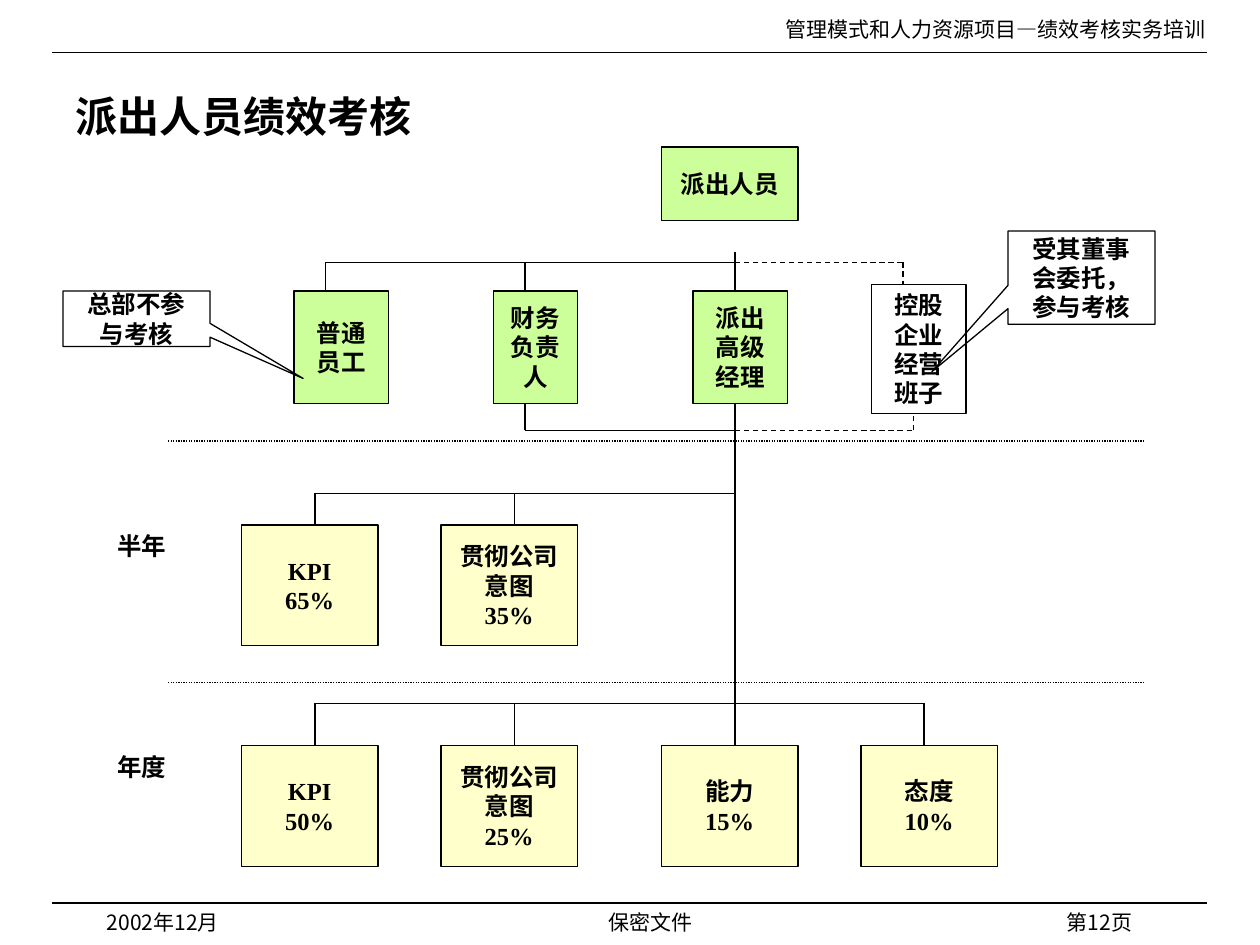
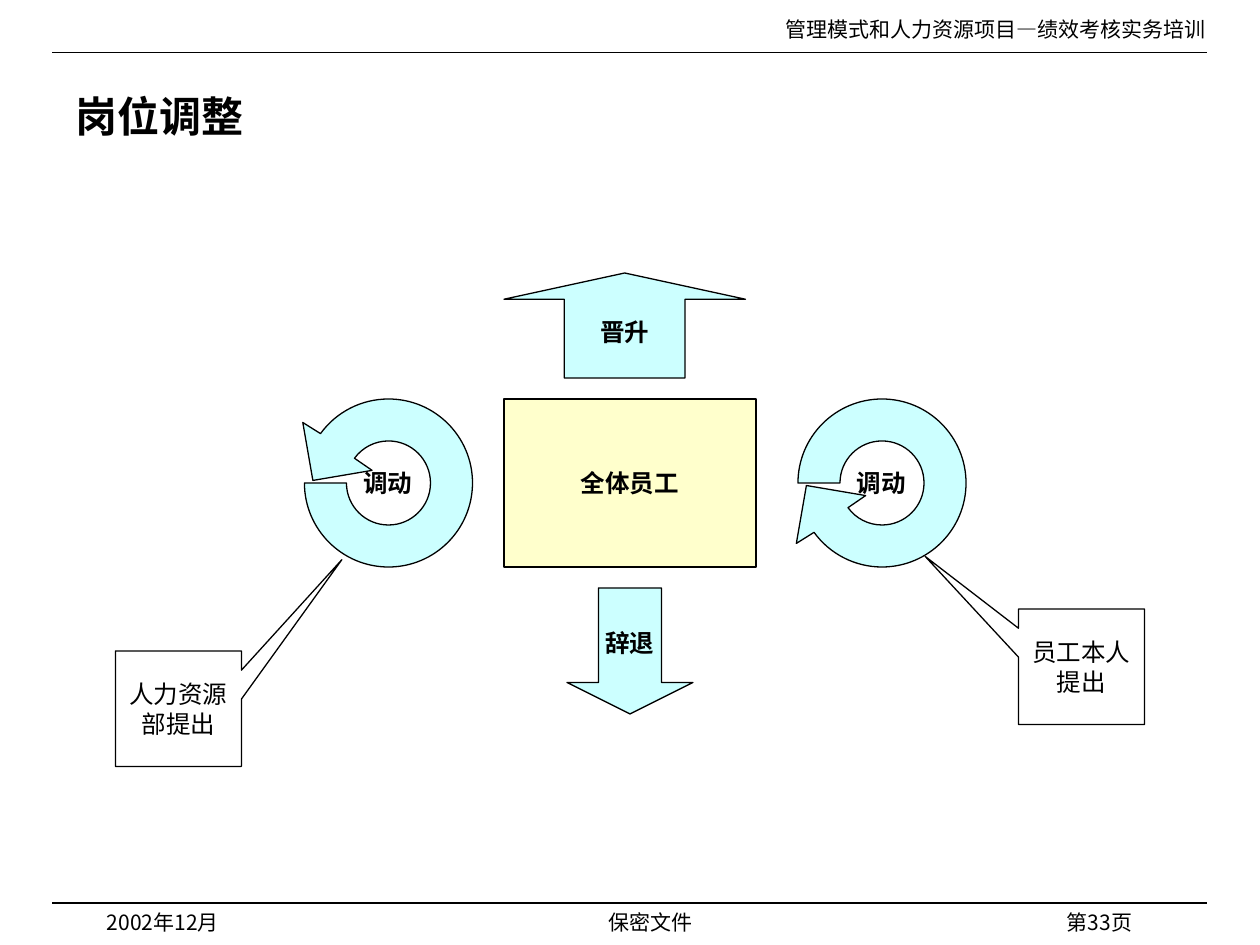
from math import cos, radians, sin, tan

from pptx import Presentation
from pptx.dml.color import RGBColor
from pptx.enum.dml import MSO_LINE
from pptx.enum.shapes import MSO_CONNECTOR, MSO_SHAPE
from pptx.enum.text import MSO_ANCHOR, MSO_AUTO_SIZE, PP_ALIGN
from pptx.oxml.ns import qn
from pptx.util import Inches, Pt

RECT, CALLOUT = MSO_SHAPE.RECTANGLE, MSO_SHAPE.RECTANGULAR_CALLOUT
UP, DOWN = MSO_SHAPE.UP_ARROW, MSO_SHAPE.DOWN_ARROW
STRAIGHT = MSO_CONNECTOR.STRAIGHT
DASH, DOT = MSO_LINE.DASH, MSO_LINE.ROUND_DOT
LEFT, CENTER, RIGHT = PP_ALIGN.LEFT, PP_ALIGN.CENTER, PP_ALIGN.RIGHT
TOP, MIDDLE = MSO_ANCHOR.TOP, MSO_ANCHOR.MIDDLE
NO_FIT = MSO_AUTO_SIZE.NONE

BLACK, GREEN, CREAM, CYAN = "000000", "CCFF99", "FFFFCC", "CCFFFF"
SERIF, SANS = "Times New Roman", "Noto Sans CJK SC"
TITLE_ONLY = 5


def color(value):
    return RGBColor.from_string(value)


def snap(*lengths):
    """Lengths in inches, put on the twelfth-inch grid where they are close to it."""
    grid = [round(v * 12) / 12 for v in lengths]
    return [Inches(g if abs(g - v) < 0.005 else v) for g, v in zip(grid, lengths)]


def write(shape, text, size=14, bold=True, font=SERIF, align=CENTER,
          anchor=MIDDLE, wrap=True):
    tf = shape.text_frame
    tf.text = text
    tf.word_wrap = wrap
    tf.auto_size = NO_FIT
    tf.vertical_anchor = anchor
    for p in tf.paragraphs:
        p.alignment = align
        for r in p.runs:
            r.font.name, r.font.size, r.font.bold = font, Pt(size), bold
            r.font.color.rgb = color(BLACK)


def outline(shape, fill):
    shape.shadow.inherit = False
    if fill:
        shape.fill.solid()
        shape.fill.fore_color.rgb = color(fill)
    else:
        shape.fill.background()
    shape.line.color.rgb = color(BLACK)
    shape.line.width = Pt(0.75)


def add_box(s, x, y, w, h, text, fill=None, kind=RECT, adj=(), **style):
    sp = s.shapes.add_shape(kind, *snap(x, y, w, h))
    for i, value in enumerate(adj):
        sp.adjustments[i] = value
    outline(sp, fill)
    write(sp, text, **style)


def add_label(s, x, y, w, h, text, **style):
    sp = s.shapes.add_textbox(*snap(x, y, w, h))
    write(sp, text, anchor=TOP, **style)
    return sp


def add_line(s, x1, y1, x2, y2, dash=None):
    c = s.shapes.add_connector(STRAIGHT, *snap(x1, y1, x2, y2))
    c.line.color.rgb = color(BLACK)
    c.line.width = Pt(0.75)
    if dash:
        c.line.dash_style = dash
    sp_pr = c._element.spPr
    sp_pr.append(sp_pr.makeelement(qn("a:effectLst"), {}))
    return c


def add_rail(s, x1, x2, y, drops, end, dash=None):
    """Horizontal line with vertical branches."""
    add_line(s, x1, y, x2, y, dash)
    for x in drops:
        add_line(s, x, y, x, end, dash)


def arc_points(radius, angles):
    """Start point of an arc, then two control points and an end for each part."""
    def at(angle, shift=0):
        a = radians(angle)
        return (radius * (cos(a) - shift * sin(a)), radius * (sin(a) + shift * cos(a)))

    points = [at(angles[0])]
    for a, b in zip(angles, angles[1:]):
        k = 4 / 3 * tan(radians(b - a) / 4)
        points += [at(a, k), at(b, -k), at(b)]
    return points


def bend(segments):
    """Turn each three straight segments into one Bezier curve."""
    for i in range(0, len(segments), 3):
        curve = segments[i].makeelement(qn("a:cubicBezTo"), {})
        segments[i].addprevious(curve)
        for segment in segments[i:i + 3]:
            curve.append(segment[0])
            segment.getparent().remove(segment)


def add_ring_arrow(s, cx, cy, turn, text):
    """Ring with an arrowhead; turn is 1 for clockwise, -1 for the reverse."""
    angles = [180, 270, 360, 450, 504]
    outer = arc_points(2 / 3, angles)
    head = [(-0.68, 0.48), (-0.6, 0.02), (-0.13, 0.1)]
    inner = arc_points(1 / 3, angles[::-1])
    cx, cy = snap(cx, cy)
    points = [(cx + Inches(x), cy + Inches(turn * y)) for x, y in outer + head + inner]
    builder = s.shapes.build_freeform(*points[0])
    builder.add_line_segments(points[1:], close=True)
    sp = builder.convert_to_shape()
    segments = list(sp._element.iter(qn("a:lnTo")))
    curved = len(outer) - 1
    bend(segments[:curved])
    bend(segments[-curved:])
    outline(sp, CYAN)
    write(sp, text, wrap=False)


def add_frame(s):
    """Header and footer, drawn once and moved to the layout of the slides."""
    small = {"size": 12, "bold": False}
    parts = [add_line(s, 0.42, y, 9.58, y) for y in (0.42, 7.17)]
    parts += [
        add_label(s, 5, 0.08, 4.67, 0.3, "管理模式和人力资源项目—绩效考核实务培训",
                  align=RIGHT, **small),
        add_label(s, 0.75, 7.17, 2.08, 0.25, "2002年12月", font=SANS, align=LEFT, **small),
        add_label(s, 2.92, 7.17, 4.5, 0.25, "保密文件", font=SANS, **small),
    ]
    tree = s.slide_layout.shapes._spTree
    for part in parts:
        tree.append(part._element)


def add_slide(prs, title, page):
    s = prs.slides.add_slide(prs.slide_layouts[TITLE_ONLY])
    sp = s.shapes.title
    sp.left, sp.top, sp.width, sp.height = snap(0.5, 0.58, 8.92, 0.67)
    write(sp, title, size=24, align=LEFT)
    add_label(s, 7, 7.17, 2.08, 0.17, f"第{page}页", size=12, bold=False,
              font=SANS, align=RIGHT)
    return s


def build_appraisal(s):
    trunk = 5.83

    # Separators and connecting lines
    for y in (3.5, 5.42):
        add_line(s, 1.33, y, 9.08, y, DOT)
    add_line(s, trunk, 5.92, trunk, 2)
    add_rail(s, 2.58, trunk, 2.08, [2.58, 4.17], 2.31)
    add_rail(s, trunk, 7.17, 2.08, [7.17], 2.26, DASH)
    add_rail(s, 4.17, trunk, 3.42, [4.17], 3.19)
    add_rail(s, trunk, 7.25, 3.42, [7.25], 3.28, DASH)
    add_rail(s, 2.5, trunk, 3.92, [2.5, 4.08], 4.17)
    add_rail(s, 2.5, 7.33, 5.58, [2.5, 4.08, 7.33], 5.92)

    # Staff groups
    add_box(s, 5.25, 1.17, 1.08, 0.58, "派出人员", GREEN)
    for x, w, text in [(2.33, 0.75, "普通员工"), (3.92, 0.67, "财务负责人"),
                       (5.5, 0.75, "派出高级经理")]:
        add_box(s, x, 2.31, w, 0.89, text, GREEN)
    add_box(s, 6.92, 2.26, 0.75, 1.02, "控股企业经营班子")

    # Weighted criteria for each period
    columns = (1.92, 3.5, 5.25, 6.83)
    periods = [
        (4.17, "半年", ["KPI\n65%", "贯彻公司意图\n35%"]),
        (5.92, "年度", ["KPI\n50%", "贯彻公司意图\n25%", "能力\n15%", "态度\n10%"]),
    ]
    for y, period, criteria in periods:
        add_label(s, 0.67, y, 0.92, 0.34, period)
        for x, text in zip(columns, criteria):
            add_box(s, x, y, 1.08, 0.96, text, CREAM)

    # Remarks
    add_box(s, 0.5, 2.31, 1.17, 0.44, "总部不参与考核", kind=CALLOUT, adj=(1.134, 1.077))
    add_box(s, 8, 1.83, 1.17, 0.74, "受其董事会委托，参与考核", kind=CALLOUT,
            adj=(-1.018, 1.009))


def build_transfers(s):
    # Staff and the four moves
    add_ring_arrow(s, 7, 3.83, 1, "调动")
    add_box(s, 4, 2.17, 1.92, 0.83, "晋升", CYAN, UP, (0.5, 0.25), wrap=False)
    add_box(s, 4.5, 4.67, 1, 1, "辞退", CYAN, DOWN, (0.5, 0.25), wrap=False)
    add_box(s, 4, 3.17, 2, 1.33, "全体员工", CREAM, wrap=False)
    add_ring_arrow(s, 3.08, 3.83, -1, "调动")

    # Who proposes a transfer
    add_box(s, 0.92, 5.17, 1, 0.92, "人力资源部提出", kind=CALLOUT,
            adj=(1.297, -1.29), bold=False)
    add_box(s, 8.08, 4.83, 1, 0.92, "员工本人提出", kind=CALLOUT,
            adj=(-1.241, -0.956), bold=False)


def main():
    prs = Presentation()
    prs.slide_width, prs.slide_height = Inches(10), Inches(7.5)
    appraisal = add_slide(prs, "派出人员绩效考核", 12)
    add_frame(appraisal)
    build_appraisal(appraisal)
    build_transfers(add_slide(prs, "岗位调整", 33))
    prs.save("out.pptx")


if __name__ == "__main__":
    main()
